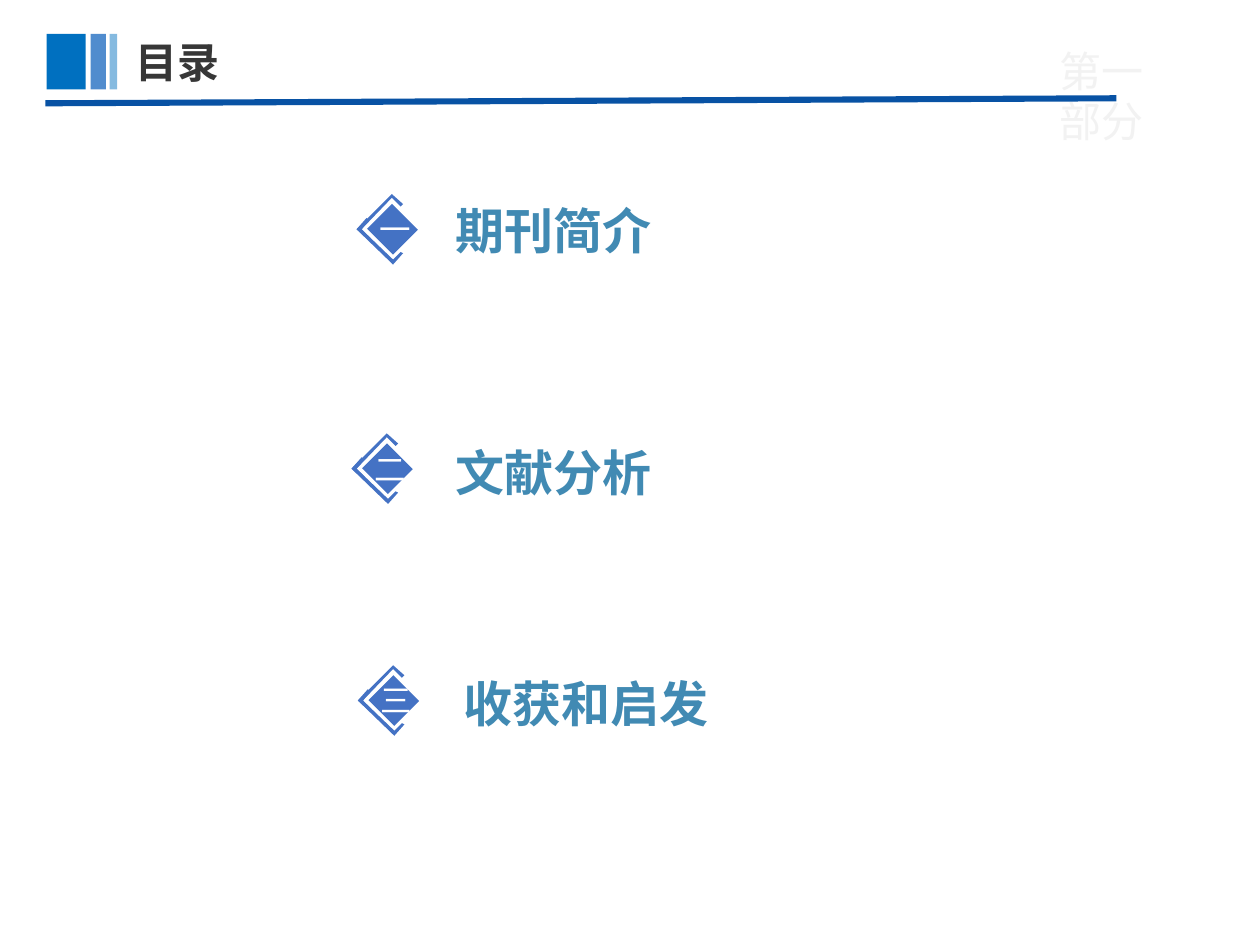
from lxml.etree import SubElement
from pptx import Presentation
from pptx.dml.color import RGBColor
from pptx.enum.shapes import MSO_CONNECTOR, MSO_SHAPE
from pptx.enum.text import MSO_AUTO_SIZE, PP_ALIGN
from pptx.oxml.ns import qn
from pptx.util import Inches, Pt

FONT = "Noto Sans CJK SC"
COLORS = {
    "rule": "0852A4",
    "bright": "0070C0",
    "deep": "065CBA",
    "title": "373737",
    "faint": "F2F2F2",
    "badge": "4472C4",
    "topic": "418AB3",
    "white": "FFFFFF",
}
HOOK = [(0.28, 0), (0.37, 0.08), (0.35, 0.10), (0.28, 0.03), (0.04, 0.28),
        (0.29, 0.52), (0.35, 0.46), (0.37, 0.47), (0.29, 0.56), (0, 0.28)]
NOTCH = [(0.08, 0.19), (0.10, 0.21), (0.04, 0.28), (0.11, 0.35),
         (0.09, 0.36), (0, 0.28)]
TOPICS = [
    ("一", "期刊简介", (2.83, 1.54), (3.52, 1.54, 1.77, 0.57)),
    ("二", "文献分析", (2.79, 3.44), (3.52, 3.46, 1.77, 0.57)),
    ("三", "收获和启发", (2.84, 5.28), (3.58, 5.30, 2.17, 0.57)),
]


def paint(shape, color, alpha=100):
    """Give a shape a plain fill with no line or shadow."""
    shape.shadow.inherit = False
    shape.line.fill.background()
    shape.fill.solid()
    shape.fill.fore_color.rgb = RGBColor.from_string(COLORS[color])
    if alpha < 100:
        tone = shape._element.spPr.find(qn("a:solidFill"))[0]
        SubElement(tone, qn("a:alpha"), val=str(alpha * 1000))


def add_rect(slide, box, color, alpha=100, turn=0):
    """Add a plain rectangle in the given box."""
    rect = slide.shapes.add_shape(MSO_SHAPE.RECTANGLE, *map(Inches, box))
    rect.rotation = turn
    paint(rect, color, alpha)


def add_text(slide, box, text, size, color, bold=False, wrap=True, align=PP_ALIGN.LEFT):
    """Add one paragraph of text in the given box."""
    frame = slide.shapes.add_textbox(*map(Inches, box)).text_frame
    frame.word_wrap = wrap
    frame.auto_size = MSO_AUTO_SIZE.SHAPE_TO_FIT_TEXT
    para = frame.paragraphs[0]
    para.text = text
    para.alignment = align
    font = para.font
    font.name, font.size, font.bold = FONT, Pt(size), bold
    font.color.rgb = RGBColor.from_string(COLORS[color])
    SubElement(para._p.pPr.find(qn("a:defRPr")), qn("a:ea"), typeface=FONT)


def add_rule(slide, start, end):
    """Add the thick line below the title."""
    rule = slide.shapes.add_connector(MSO_CONNECTOR.STRAIGHT, *map(Inches, start + end))
    rule.line.color.rgb = RGBColor.from_string(COLORS["rule"])
    rule.line.width = Pt(3.5)
    SubElement(rule._element.spPr, qn("a:effectLst"))


def add_header(slide, left, top):
    """Add the section mark, rule, bars and title."""
    add_text(slide, (left + 7.94, top + 0.04, 1.18, 0.91), "第一部分", 24, "faint")
    add_rule(slide, (left - 0.01, top + 0.55), (left + 8.49, top + 0.51))
    bars = [(0, 0.31, "bright", 100), (0.35, 0.12, "deep", 70), (0.5, 0.06, "bright", 48)]
    for shift, width, color, alpha in bars:
        add_rect(slide, (left + shift, top, width, 0.44), color, alpha)
    add_text(slide, (left + 0.61, top - 0.03, 3.36, 0.5), "目录", 24, "title", bold=True)


def add_badge(slide, left, top, mark):
    """Add a numbered diamond with its hooked edge."""
    add_rect(slide, (left + 0.14, top + 0.14, 0.29, 0.28), "badge", turn=45)
    for outline in (HOOK, NOTCH):
        points = [(Inches(left + x), Inches(top + y)) for x, y in outline]
        form = slide.shapes.build_freeform(*points[0])
        form.add_line_segments(points[1:], close=True)
        paint(form.convert_to_shape(), "badge")
    add_text(slide, (left + 0.08, top + 0.08, 0.35, 0.4), mark, 18, "white",
             align=PP_ALIGN.CENTER)


def main():
    """Build and save the contents slide."""
    deck = Presentation()
    deck.slide_width, deck.slide_height = Inches(10), Inches(7.5)
    slide = deck.slides.add_slide(deck.slide_layouts[6])
    add_header(slide, 0.37, 0.27)
    for mark, topic, spot, box in TOPICS:
        add_badge(slide, *spot, mark)
        add_text(slide, box, topic, 28, "topic", bold=True, wrap=False)
    deck.save("out.pptx")


if __name__ == "__main__":
    main()
